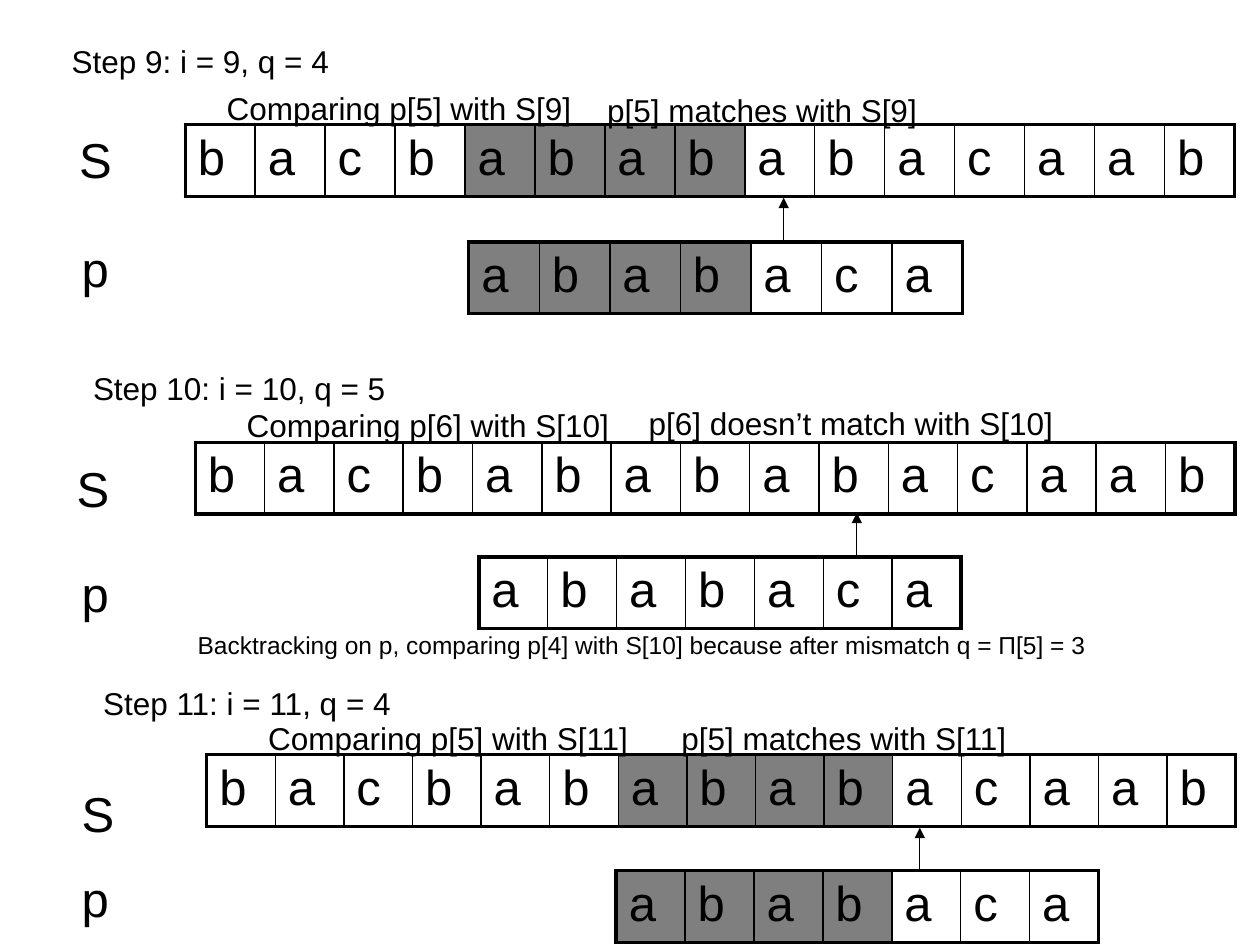
from dataclasses import dataclass

from lxml.etree import SubElement
from pptx import Presentation
from pptx.dml.color import RGBColor
from pptx.enum.shapes import MSO_CONNECTOR as Link
from pptx.enum.text import MSO_AUTO_SIZE as Fit
from pptx.oxml.ns import qn
from pptx.util import Emu, Pt

SCALE = 9144  # EMU in one px, 100 px to the inch
FONT = "Arial"
BLACK = "000000"
TALL = 57  # height of a row of cells
STRING = "bacbababab" "acaab"
PATTERN = "ababaca"


@dataclass(frozen=True)
class Label:
    text: str
    x: int
    y: int
    w: int
    h: int
    size: int = 18
    wrap: bool = False


@dataclass(frozen=True)
class Row:
    """Cells from index first up to last are shaded."""
    text: str
    x: int
    y: int
    w: int
    first: int = 0
    last: int = 0


@dataclass(frozen=True)
class Arrow:
    x: int
    start: int
    end: int


@dataclass(frozen=True)
class Step:
    head: Label
    notes: tuple[Label, ...]
    marks: tuple[Label, Label]
    rows: tuple[Row, Row]
    arrow: Arrow


def mark(text: str, x: int, y: int) -> Label:
    return Label(text, x, y, 46 if text == "S" else 42, TALL, 28)


STEPS = (
    Step(
        Label("Step 9: i = 9, q = 4", 47, 32, 250, 25, wrap=True),
        (Label("Comparing p[5] with S[9]", 170, 66, 294, 40),
         Label("p[5] matches with S[9]", 472, 67, 266, 40)),
        (mark("S", 53, 98), mark("p", 55, 184)),
        (Row(STRING, 147, 99, 833, 4, 8), Row(PATTERN, 372, 192, 392, 0, 4)),
        Arrow(622, 191, 157),
    ),
    Step(
        Label("Step 10: i = 10, q = 5", 64, 291, 283, 25, wrap=True),
        (Label("Comparing p[6] with S[10]", 186, 317, 308, 40),
         Label("p[6] doesn’t match with S[10]", 505, 316, 341, 40),
         Label("Backtracking on p, comparing p[4] with S[10] because after "
               "mismatch q = Π[5] = 3", 147, 495, 850, 57, 14, True)),
        (mark("S", 51, 359), mark("p", 55, 442)),
        (Row(STRING, 155, 351, 825), Row(PATTERN, 380, 442, 383)),
        Arrow(680, 441, 407),
    ),
    Step(
        Label("Step 11: i = 11, q = 4", 72, 541, 383, 25, wrap=True),
        (Label("Comparing p[5] with S[11]", 203, 566, 308, 40),
         Label("p[5] matches with S[11]", 531, 566, 280, 40)),
        (mark("S", 55, 617), mark("p", 55, 684)),
        (Row(STRING, 164, 599, 817, 6, 10), Row(PATTERN, 489, 691, 383, 0, 4)),
        Arrow(730, 691, 657),
    ),
)


def px(count: float) -> Emu:
    return Emu(round(count * SCALE))


def tint(code: str) -> RGBColor:
    return RGBColor.from_string(code)


def write(para, text: str, size: int) -> None:
    run = para.add_run()
    run.text = text
    run.font.name = FONT
    run.font.size = Pt(size)
    run.font.color.rgb = tint(BLACK)


def draw_label(slide, label: Label, tight: bool = False) -> None:
    """Tight labels have closer lines, as the step heads do."""
    box = slide.shapes.add_textbox(*map(px, (label.x, label.y, label.w, label.h)))
    frame = box.text_frame
    frame.word_wrap = label.wrap
    frame.auto_size = Fit.NONE if tight else Fit.SHAPE_TO_FIT_TEXT
    para = frame.paragraphs[0]
    if tight:
        para.line_spacing = 0.9
    write(para, label.text, label.size)


def edge(cell, side: str, width: float) -> None:
    line = SubElement(cell._tc.get_or_add_tcPr(), qn(f"a:ln{side}"), w=str(Pt(width)))
    fill = SubElement(line, qn("a:solidFill"))
    SubElement(fill, qn("a:srgbClr"), val=BLACK)


def shade(cell) -> None:
    """Fill the cell with half-clear black."""
    cell.fill.solid()
    cell.fill.fore_color.rgb = tint(BLACK)
    color = cell._tc.tcPr.find(f"{qn('a:solidFill')}/{qn('a:srgbClr')}")
    SubElement(color, qn("a:alpha"), val="50000")


def draw_row(slide, row: Row) -> None:
    count = len(row.text)
    table = slide.shapes.add_table(
        1, count, px(row.x), px(row.y), px(row.w), px(TALL)).table
    table.first_row = table.horz_banding = False
    for i, char in enumerate(row.text):
        table.columns[i].width = px(row.w / count)
        cell = table.cell(0, i)
        write(cell.text_frame.paragraphs[0], char, 28)
        edge(cell, "L", 2.25 if i == 0 else 1)
        edge(cell, "R", 2.25 if i == count - 1 else 1)
        edge(cell, "T", 2.25)
        edge(cell, "B", 2.25)
        if row.first <= i < row.last:
            shade(cell)
        else:
            cell.fill.background()


def draw_arrow(slide, arrow: Arrow) -> None:
    x = px(arrow.x)
    link = slide.shapes.add_connector(
        Link.STRAIGHT, x, px(arrow.start), x, px(arrow.end))
    link.line.width = Pt(0.75)
    link.line.color.rgb = tint(BLACK)
    SubElement(link.line._get_or_add_ln(), qn("a:tailEnd"), type="triangle")
    SubElement(link._element.spPr, qn("a:effectLst"))


def draw_step(slide, step: Step) -> None:
    draw_label(slide, step.head, tight=True)
    for label in step.notes + step.marks:
        draw_label(slide, label)
    for row in step.rows:
        draw_row(slide, row)
    draw_arrow(slide, step.arrow)


def main() -> None:
    deck = Presentation()
    deck.slide_width, deck.slide_height = px(1000), px(750)
    slide = deck.slides.add_slide(deck.slide_layouts[6])
    for step in STEPS:
        draw_step(slide, step)
    deck.save("out.pptx")


if __name__ == "__main__":
    main()
